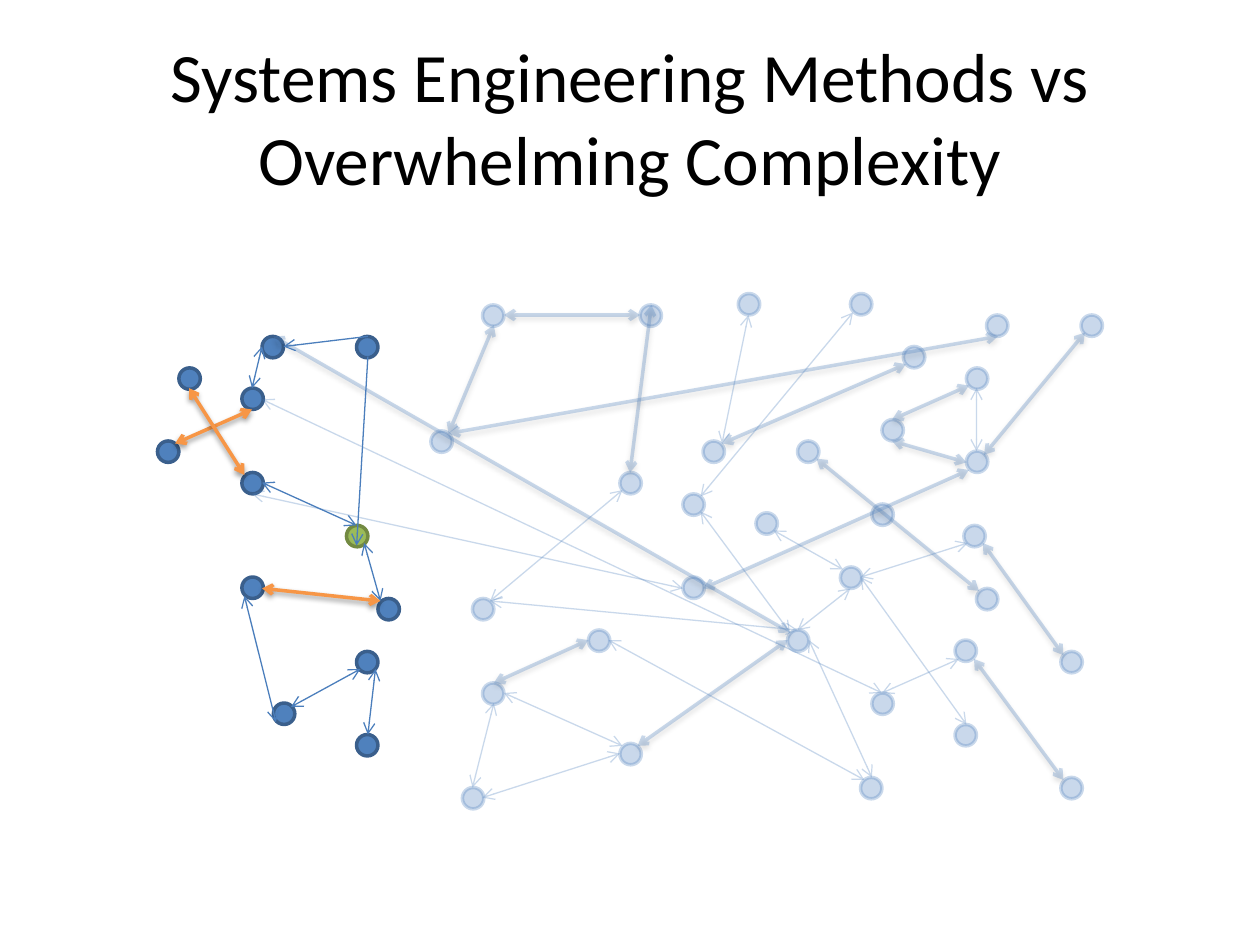
"""Build a slide showing a small clear network beside a faded complex one."""
from dataclasses import dataclass
from typing import Optional

from lxml import etree
from pptx import Presentation
from pptx.dml.color import RGBColor
from pptx.enum.shapes import MSO_CONNECTOR, MSO_SHAPE
from pptx.enum.text import MSO_ANCHOR, PP_ALIGN
from pptx.oxml.ns import qn
from pptx.util import Inches, Pt

OVAL = MSO_SHAPE.OVAL
STRAIGHT = MSO_CONNECTOR.STRAIGHT
MIDDLE = MSO_ANCHOR.MIDDLE
CENTER = PP_ALIGN.CENTER

COLORS = {
    "text": "000000",
    "blue": "4F81BD",
    "blue_edge": "3A5F8C",
    "blue_link": "4B7EBC",
    "green": "9BBB59",
    "green_edge": "738A42",
    "orange": "F79646",
    "shadow": "000000",
}
NODE_SIZE = 0.17
FADED = 30


@dataclass(frozen=True)
class NodeStyle:
    fill: str
    edge: str
    opacity: Optional[int] = None


@dataclass(frozen=True)
class LinkStyle:
    color: str
    width: float
    opacity: Optional[int] = None
    shadow: bool = False
    ends: tuple = ("headEnd", "tailEnd")


NODE_GROUPS = [
    (NodeStyle("blue", "blue_edge"), [
        (2.08, 2.67), (1.25, 3.5), (2.83, 2.67), (1.42, 2.92), (1.92, 3.75),
        (1.92, 3.08), (1.92, 4.58), (3, 4.75), (2.17, 5.58), (2.83, 5.83),
        (2.83, 5.17),
    ]),
    (NodeStyle("green", "green_edge"), [(2.75, 4.17)]),
    (NodeStyle("blue", "blue", FADED), [
        (4.92, 5.9), (3.83, 5.42), (3.83, 2.42), (3.42, 3.42), (5.58, 3.5),
        (5.08, 2.42), (6.33, 3.5), (4.92, 3.75), (4.67, 5), (5.42, 4.58),
        (5.42, 3.92), (6.25, 5), (6.75, 2.33), (7.83, 2.5), (7, 3.33),
        (8.58, 2.5), (7.17, 2.75), (6.92, 4), (7.67, 3.58), (7.67, 2.92),
        (7.65, 4.17), (3.75, 4.75), (5.86, 2.33), (3.67, 6.25), (6.67, 4.5),
        (7.75, 4.67), (6.92, 5.5), (8.42, 5.17), (6, 4.07), (6.83, 6.17),
        (7.58, 5.75), (7.58, 5.08), (8.42, 6.17),
    ]),
]

LINK_GROUPS = [
    (LinkStyle("blue", 2, FADED, True), [
        (3.92, 2.58, 3.56, 3.44), (5.17, 2.42, 5, 3.75),
        (7.77, 4.69, 6.48, 3.64), (7.19, 2.89, 5.73, 3.52),
        (8.61, 2.64, 7.81, 3.61), (5.08, 2.5, 4, 2.5),
        (7.69, 3.06, 7.08, 3.33), (8.44, 6.19, 7.73, 5.23),
        (8.44, 5.2, 7.8, 4.31), (5.06, 5.92, 6.25, 5.08),
        (3.92, 5.42, 4.67, 5.08), (7.92, 2.67, 3.56, 3.44),
        (2.17, 2.67, 6.27, 5.02), (7.69, 3.73, 5.58, 4.67),
        (7.08, 3.5, 7.67, 3.67),
    ]),
    (LinkStyle("blue", 0.75, FADED), [
        (7, 5.5, 2.08, 3.17), (6.86, 6.19, 4.83, 5.08),
        (5.94, 2.5, 5.73, 3.52), (4.94, 3.89, 3.89, 4.77),
        (2, 3.92, 5.42, 4.67), (6.69, 4.52, 6.14, 4.21),
        (3.83, 6.33, 4.92, 5.98), (3.92, 5.58, 3.75, 6.25),
        (4.94, 5.92, 4, 5.5), (6.33, 5, 3.89, 4.77),
        (6.92, 6.17, 6.42, 5.08), (7.67, 5.75, 6.83, 4.58),
        (7, 5.5, 7.61, 5.23), (6.77, 2.48, 5.56, 3.94),
        (5.56, 4.06, 6.27, 5.02), (6.75, 4.67, 6.33, 5),
        (7.75, 3.08, 7.75, 3.58), (7.68, 4.31, 6.83, 4.58),
    ]),
    (LinkStyle("blue_link", 0.75), [
        (2.83, 4.17, 2.08, 3.83), (2.08, 2.75, 2, 3.08),
        (2.89, 4.31, 3.02, 4.77), (2.98, 5.31, 2.92, 5.83),
        (2.86, 5.31, 2.31, 5.61), (1.94, 4.73, 2.19, 5.73),
    ]),
    (LinkStyle("blue_link", 0.75, ends=("tailEnd",)), [
        (2.92, 2.67, 2.25, 2.75), (2.92, 2.83, 2.83, 4.33),
    ]),
    (LinkStyle("orange", 2, shadow=True), [
        (2, 3.25, 1.39, 3.52), (2.08, 4.67, 3.02, 4.77),
        (1.5, 3.08, 1.94, 3.77),
    ]),
]


def color(name: str) -> RGBColor:
    """Return a named palette colour."""
    return RGBColor.from_string(COLORS[name])


def set_opacity(element, percent: Optional[int]) -> None:
    """Apply an opacity to every explicit colour in an element."""
    if percent is not None:
        for entry in element.iter(qn("a:srgbClr")):
            etree.SubElement(entry, qn("a:alpha"), val=str(percent * 1000))


def add_title(slide, text: str) -> None:
    """Add the centred heading."""
    box = slide.shapes.add_textbox(Inches(0.5), Inches(0.3), Inches(9), Inches(1.25))
    frame = box.text_frame
    frame.word_wrap = True
    frame.vertical_anchor = MIDDLE
    para = frame.paragraphs[0]
    para.alignment = CENTER
    span = para.add_run()
    span.text = text
    span.font.name = "Calibri"
    span.font.size = Pt(39.6)
    span.font.color.rgb = color("text")


def add_node(slide, left: float, top: float, style: NodeStyle) -> None:
    """Add one round network node."""
    node = slide.shapes.add_shape(
        OVAL, Inches(left), Inches(top), Inches(NODE_SIZE), Inches(NODE_SIZE))
    node.shadow.inherit = False
    node.fill.solid()
    node.fill.fore_color.rgb = color(style.fill)
    node.line.color.rgb = color(style.edge)
    node.line.width = Pt(2)
    set_opacity(node.element.spPr, style.opacity)


def add_link(slide, ends: tuple, style: LinkStyle) -> None:
    """Add one arrow between two points."""
    link = slide.shapes.add_connector(STRAIGHT, *(Inches(value) for value in ends))
    link.line.color.rgb = color(style.color)
    link.line.width = Pt(style.width)
    properties = link.element.spPr
    set_opacity(properties, style.opacity)
    outline = properties.find(qn("a:ln"))
    for end in style.ends:
        etree.SubElement(outline, qn(f"a:{end}"), type="arrow")
    effects = etree.SubElement(properties, qn("a:effectLst"))
    if style.shadow:
        shadow = etree.SubElement(
            effects, qn("a:outerShdw"), blurRad=str(Pt(3.1)), dist=str(Pt(1.6)),
            dir=str(90 * 60000), rotWithShape="0")
        etree.SubElement(shadow, qn("a:srgbClr"), val=COLORS["shadow"])
        set_opacity(shadow, 38)


def main() -> None:
    """Build and save the deck."""
    deck = Presentation()
    deck.slide_width, deck.slide_height = Inches(10), Inches(7.5)
    page = deck.slides.add_slide(deck.slide_layouts[6])
    add_title(page, "Systems Engineering Methods vs Overwhelming Complexity")
    for style, positions in NODE_GROUPS:
        for left, top in positions:
            add_node(page, left, top, style)
    for style, links in LINK_GROUPS:
        for ends in links:
            add_link(page, ends, style)
    deck.save("out.pptx")


if __name__ == "__main__":
    main()
